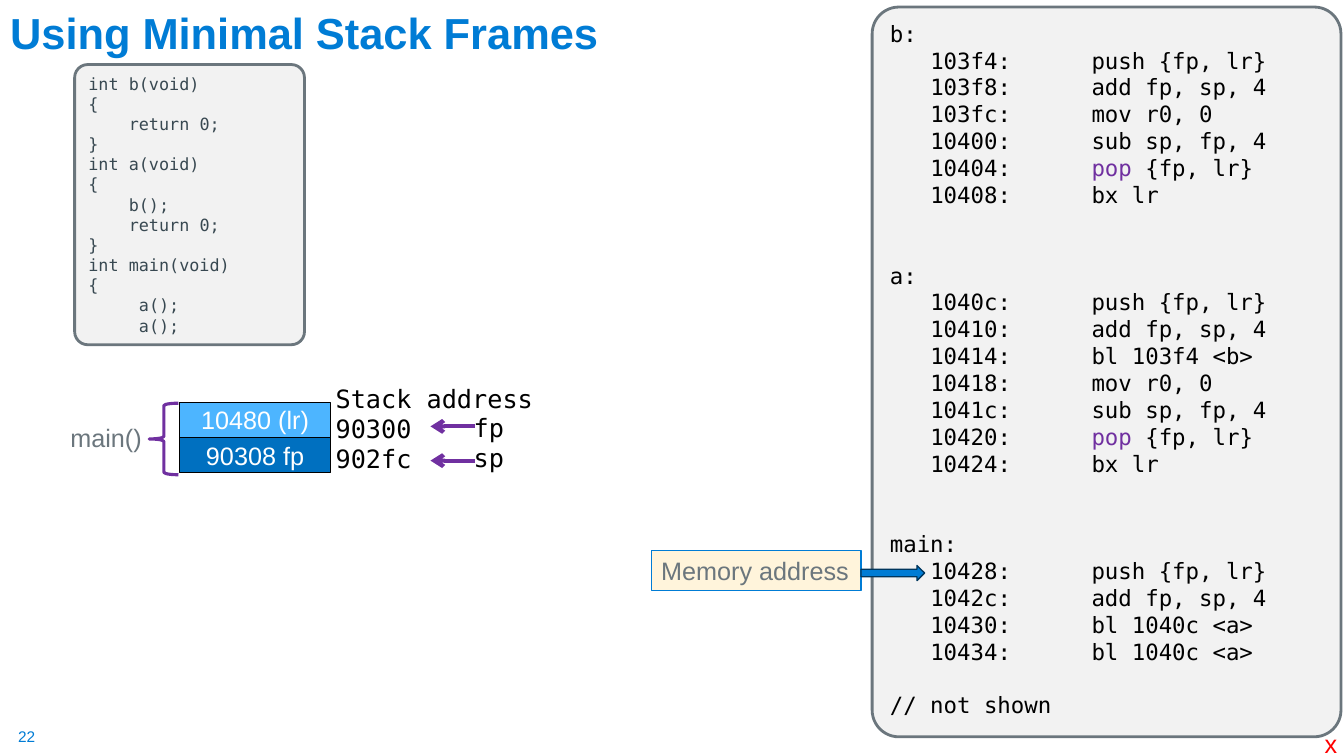
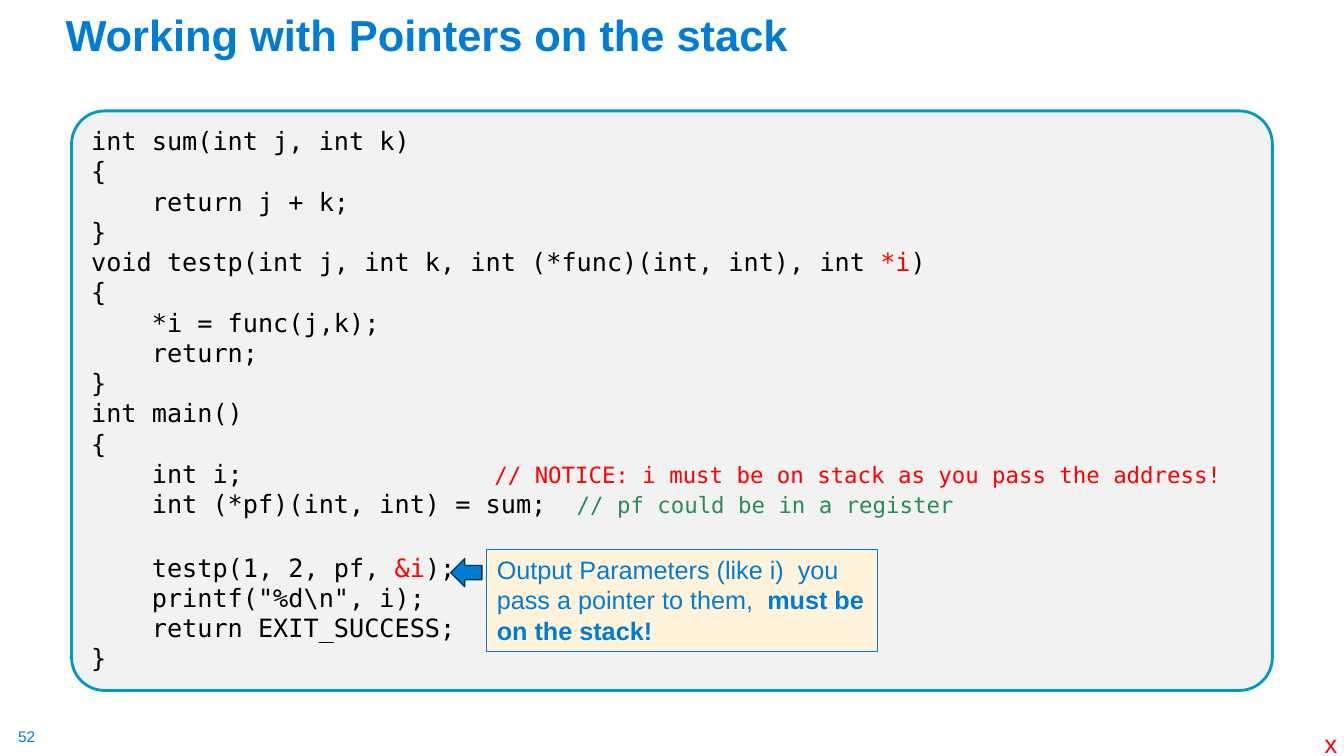
from pptx import Presentation
from pptx.dml.color import RGBColor
from pptx.enum.shapes import MSO_CONNECTOR, MSO_SHAPE
from pptx.enum.text import MSO_ANCHOR, MSO_AUTO_SIZE, PP_ALIGN
from pptx.oxml.ns import qn
from pptx.util import Inches, Pt
from lxml.etree import SubElement

SANS, MONO = "Arial", "DejaVu Sans Mono"
BLUE, NAVY, GRAY, SLATE = "007CD5", "00365D", "6B767D", "384851"
BLACK, WHITE, RED, GREEN, PURPLE = "000000", "FFFFFF", "FF0000", "2C895B", "7030A0"
PANEL, CREAM, TEAL = "F2F2F2", "FFF4DB", "0098C9"
LEADING, CHAR_WIDTH, TAB = 1.2, 0.602, 1

C_SOURCE = [
    "int b(void)", "{", "    return 0;", "}",
    "int a(void)", "{", "    b();", "    return 0;", "}",
    "int main(void)", "{", "     a();", "     a();",
]
FIRST_ADDRESS = 0x103F4
ASSEMBLY = {
    "b": ["push {fp, lr}", "add fp, sp, 4", "mov r0, 0",
          "sub sp, fp, 4", "pop {fp, lr}", "bx lr"],
    "a": ["push {fp, lr}", "add fp, sp, 4", "bl 103f4 <b>", "mov r0, 0",
          "sub sp, fp, 4", "pop {fp, lr}", "bx lr"],
    "main": ["push {fp, lr}", "add fp, sp, 4", "bl 1040c <a>", "bl 1040c <a>"],
}
STACK = [("10480 (lr)", "4DB5FF"), ("90308 fp", "0070C0")]
STACK_LABELS = ["Stack address", "90300", "902fc"]
POINTERS = ["fp", "sp"]

POINTER_SOURCE = [
    "int sum(int j, int k)", "{", "    return j + k;", "}",
    [("void testp(int j, int k, int (*func)(int, int), int ",), ("*i", RED), (")",)],
    "{", "    *i = func(j,k);", "    return;", "}",
    "int main()", "{",
    [("    int i; \t\t\t",),
     ("// NOTICE: i must be on stack as you pass the address!", RED, 16)],
    [("    int (*pf)(int, int) = sum;  ",), ("// pf could be in a register", GREEN, 16)],
]
POINTER_CALLS = [
    [("    testp(1, 2, pf, ",), ("&i", RED), (");",)],
    "    printf(\"%d\\n\", i);", "    return EXIT_SUCCESS;", "}",
]
OUTPUT_NOTE = [[("Output Parameters (like i)  you pass a pointer to them,  ",),
                ("must be on the stack!", BLUE, 18, True)]]


def rgb(value):
    return RGBColor.from_string(value)


def style(font, name, size, color, bold=False):
    font.name, font.size, font.bold = name, Pt(size), bold
    font.color.rgb = rgb(color)


def write(tf, lines, font=SANS, size=18, color=BLACK, gaps=None,
          align=PP_ALIGN.LEFT, wrap=False):
    tf.word_wrap = wrap
    tf.auto_size = MSO_AUTO_SIZE.NONE
    for i, line in enumerate(lines):
        p = tf.paragraphs[0] if i == 0 else tf.add_paragraph()
        p.alignment = align
        p.line_spacing = Pt(LEADING * size)
        p.space_before = Pt((gaps or {}).get(i, 0) * LEADING * size)
        runs = [(line,)] if isinstance(line, str) else line
        indent = len(runs[0][0]) - len(runs[0][0].lstrip(" "))
        pPr = p._p.get_or_add_pPr()
        pPr.set("indent", str(Pt(indent * CHAR_WIDTH * size)))
        pPr.set("defTabSz", str(Inches(TAB)))
        for j, (text, *look) in enumerate(runs):
            r = p.add_run()
            r.text = text.lstrip(" ") if j == 0 else text
            run_color, run_size, bold = look + [color, size, False][len(look):]
            style(r.font, font, run_size, run_color, bold)


def add_text(shapes, at, lines, **look):
    tb = shapes.add_textbox(*map(Inches, at))
    write(tb.text_frame, lines, **look)
    return tb


def add_box(shapes, kind, at, fill=None, line=BLACK, width=1.0):
    sp = shapes.add_shape(kind, *map(Inches, at))
    sp.shadow.inherit = False
    if fill:
        sp.fill.solid()
        sp.fill.fore_color.rgb = rgb(fill)
    else:
        sp.fill.background()
    sp.line.color.rgb = rgb(line)
    sp.line.width = Pt(width)
    sp.text_frame.vertical_anchor = MSO_ANCHOR.TOP
    return sp


def add_panel(s, at, lines, line=GRAY, **look):
    sp = add_box(s.shapes, MSO_SHAPE.ROUNDED_RECTANGLE, at, PANEL, line, 2)
    sp.adjustments[0] = 0.057
    write(sp.text_frame, lines, font=MONO, **look)


def add_note(s, at, lines, **look):
    sp = add_box(s.shapes, MSO_SHAPE.RECTANGLE, at, CREAM, BLUE, 0.75)
    write(sp.text_frame, lines, **look)


def add_pointer(shapes, left, right, y):
    c = shapes.add_connector(MSO_CONNECTOR.STRAIGHT, *map(Inches, (right, y, left, y)))
    c.line.color.rgb = rgb(PURPLE)
    c.line.width = Pt(3)
    SubElement(c._element.spPr.find(qn("a:ln")), qn("a:tailEnd"), type="arrow")
    SubElement(c._element.spPr, qn("a:effectLst"))


def add_slide(prs, title, at, number):
    s = prs.slides.add_slide(prs.slide_layouts[5])
    t = s.shapes.title
    t.left, t.top, t.width, t.height = map(Inches, at)
    tf = t.text_frame
    tf.word_wrap, tf.auto_size = True, MSO_AUTO_SIZE.NONE
    tf.vertical_anchor = MSO_ANCHOR.BOTTOM
    p = tf.paragraphs[0]
    p.alignment, p.line_spacing = PP_ALIGN.LEFT, 0.9
    r = p.add_run()
    r.text = title
    style(r.font, SANS, 31, BLUE, True)
    tb = add_text(s.shapes, (0.18, 7.21, 0.19, 0.19), [number], size=11, color=BLUE)
    tf = tb.text_frame
    tf.margin_left = tf.margin_right = tf.margin_top = tf.margin_bottom = 0
    add_text(s.shapes, (13.04, 7.18, 0.33, 0.4), ["x"], color=RED)
    return s


def assembly_lines():
    lines, gaps, address = [], {}, FIRST_ADDRESS
    for name, instructions in ASSEMBLY.items():
        if lines:
            gaps[len(lines)] = 2
        lines.append(f"{name}:")
        for op in instructions:
            word, rest = op.split(" ", 1)
            color = PURPLE if word == "pop" else BLACK
            lines.append([(f"   {address:x}: \t",), (word, color), (f" {rest}",)])
            address += 4
    gaps[len(lines)] = 1
    return lines + ["// not shown"], gaps


def add_stack(s):
    left, top, width, row = 1.78, 3.99, 1.5, 0.35
    frame = s.shapes.add_group_shape().shapes
    for i, (text, fill) in enumerate(STACK):
        cell = add_box(frame, MSO_SHAPE.RECTANGLE, (left, top + i * row, width, row), fill)
        cell.text_frame.vertical_anchor = MSO_ANCHOR.MIDDLE
        write(cell.text_frame, [text], color=WHITE, align=PP_ALIGN.CENTER)
    add_text(frame, (0.6, 4.14, 0.92, 0.4), ["main()"], color=GRAY)
    add_box(frame, MSO_SHAPE.LEFT_BRACE, (1.48, 4, 0.29, 0.71), None, PURPLE, 2.25)
    add_text(frame, (3.23, 3.75, 2.18, 1.01), STACK_LABELS, font=MONO)
    marks = s.shapes.add_group_shape().shapes
    add_text(marks, (4.6, 4.04, 0.51, 0.71), POINTERS, font=MONO)
    for i in range(len(POINTERS)):
        add_pointer(marks, 4.27, 4.71, 4.23 + i * 0.34)


def build_frames(prs):
    s = add_slide(prs, "Using Minimal Stack Frames", (0, -0.15, 8.01, 0.78), "22")
    add_panel(s, (0.74, 0.64, 2.28, 2.78), C_SOURCE, size=12, color=SLATE)
    lines, gaps = assembly_lines()
    add_panel(s, (8.65, 0.07, 4.65, 7.24), lines, size=16, gaps=gaps)
    add_stack(s)
    add_note(s, (6.46, 5.46, 2.08, 0.4), ["Memory address"], color=GRAY)
    add_box(s.shapes, MSO_SHAPE.RIGHT_ARROW, (8.54, 5.61, 0.63, 0.15), BLUE, NAVY)


def build_pointers(prs):
    s = add_slide(prs, "Working with Pointers on the stack", (0.55, 0.13, 11.5, 0.52), "52")
    add_panel(s, (0.71, 1.1, 11.91, 5.75), POINTER_SOURCE + POINTER_CALLS, TEAL,
              gaps={len(POINTER_SOURCE): 1.1})
    add_note(s, (4.83, 5.45, 3.87, 1.01), OUTPUT_NOTE, color=BLUE, wrap=True)
    add_box(s.shapes, MSO_SHAPE.LEFT_ARROW, (4.47, 5.54, 0.31, 0.28), BLUE, NAVY)


def main():
    prs = Presentation()
    prs.slide_width, prs.slide_height = Inches(13.33), Inches(7.5)
    build_frames(prs)
    build_pointers(prs)
    prs.save("out.pptx")


if __name__ == "__main__":
    main()
